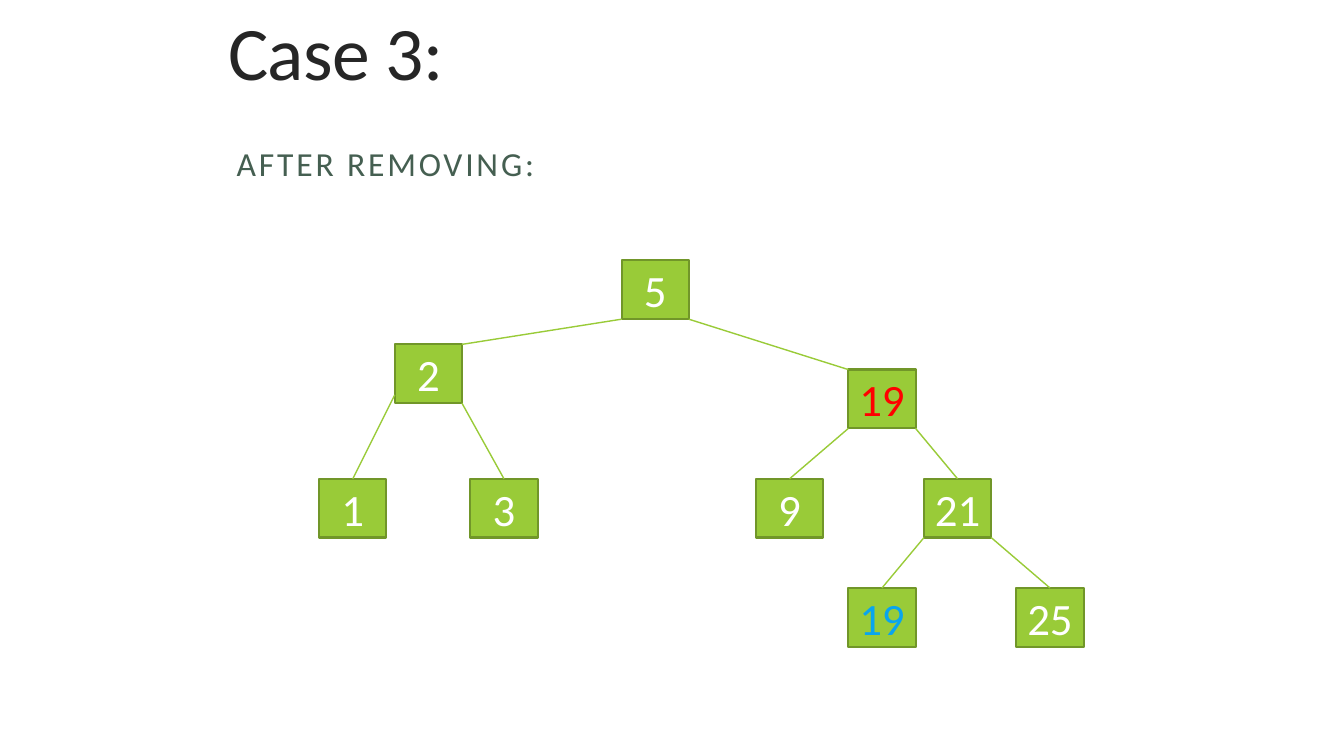
"""Draw a search tree after a node with two children is removed."""
from dataclasses import dataclass

from lxml import etree
from pptx import Presentation
from pptx.dml.color import RGBColor
from pptx.enum.shapes import MSO_CONNECTOR, MSO_SHAPE
from pptx.enum.text import MSO_ANCHOR, PP_ALIGN
from pptx.oxml.ns import qn
from pptx.slide import Slide
from pptx.text.text import _Paragraph
from pptx.util import Inches, Pt

RECT = MSO_SHAPE.RECTANGLE
LINE = MSO_CONNECTOR.STRAIGHT
TOP, MIDDLE, BOTTOM = MSO_ANCHOR.TOP, MSO_ANCHOR.MIDDLE, MSO_ANCHOR.BOTTOM
CENTER = PP_ALIGN.CENTER
COLS, ROWS = 160, 90
WIDE, HIGH = 8, 7


@dataclass(frozen=True)
class Theme:
    """Colours and type sizes."""
    font: str = "Calibri"
    title: str = "262626"
    label: str = "455F51"
    fill: str = "99CB38"
    edge: str = "719629"
    plain: str = "FFFFFF"
    moved: str = "FF0000"
    twin: str = "08A5EF"
    title_size: int = 54
    label_size: int = 24
    node_size: int = 32


@dataclass(frozen=True)
class Node:
    """A tree node at a grid cell."""
    text: str
    col: int
    row: int
    color: str


@dataclass(frozen=True)
class Link:
    """A branch; dock is a share of the child's width, lift is in rows."""
    upper: str
    lower: str
    dock: float = 0.5
    lift: int = 0


@dataclass(frozen=True)
class Head:
    """A heading in a box of grid cells."""
    text: str
    box: tuple[float, float, float, float]
    anchor: MSO_ANCHOR
    size: int
    color: str
    lead: float
    track: int
    before: int = 0
    after: int = 0


theme = Theme()
HEADS = (
    Head("Case 3:", (26, 3, 102, 9), BOTTOM, theme.title_size, theme.title, 0.85, -50),
    Head("AFTER REMOVING:", (27, 17, 107, 69), TOP, theme.label_size, theme.label,
         0.9, 200, 12, 2),
)
NODES = {
    "root": Node("5", 74, 31, theme.plain),
    "one": Node("1", 38, 57, theme.plain),
    "two": Node("2", 47, 41, theme.plain),
    "nine": Node("9", 90, 57, theme.plain),
    "three": Node("3", 56, 57, theme.plain),
    "moved": Node("19", 101, 44, theme.moved),
    "right": Node("21", 110, 57, theme.plain),
    "last": Node("25", 121, 70, theme.plain),
    "twin": Node("19", 101, 70, theme.twin),
}
LINKS = (
    Link("root", "two", dock=1), Link("two", "one", lift=1), Link("two", "three"),
    Link("root", "moved", dock=0), Link("moved", "nine"), Link("moved", "right"),
    Link("right", "twin"), Link("right", "last"),
)

deck = Presentation()
deck.slide_width, deck.slide_height = Inches(13.33), Inches(7.5)


def grid(*cells: float) -> list[int]:
    """Turn alternating columns and rows into lengths."""
    steps = deck.slide_width / COLS, deck.slide_height / ROWS
    return [round(cell * steps[i % 2]) for i, cell in enumerate(cells)]


def style(para: _Paragraph, size: int, color: str) -> None:
    """Set the font of a paragraph."""
    para.font.name = theme.font
    para.font.size = Pt(size)
    para.font.color.rgb = RGBColor.from_string(color)


def add_head(slide: Slide, head: Head) -> None:
    """Add a heading with its own tracking and leading."""
    frame = slide.shapes.add_textbox(*grid(*head.box)).text_frame
    frame.word_wrap = True
    frame.vertical_anchor = head.anchor
    para = frame.paragraphs[0]
    para.text = head.text
    para.line_spacing = head.lead
    para.space_before, para.space_after = Pt(head.before), Pt(head.after)
    style(para, head.size, head.color)
    para.runs[0]._r.get_or_add_rPr().set("spc", str(head.track))


def add_node(slide: Slide, node: Node) -> None:
    """Add a node as a square with its key."""
    shape = slide.shapes.add_shape(RECT, *grid(node.col, node.row, WIDE, HIGH))
    shape.shadow.inherit = False
    shape.fill.solid()
    shape.fill.fore_color.rgb = RGBColor.from_string(theme.fill)
    shape.line.color.rgb = RGBColor.from_string(theme.edge)
    shape.line.width = Pt(1.5)
    frame = shape.text_frame
    frame.word_wrap = True
    frame.vertical_anchor = MIDDLE
    para = frame.paragraphs[0]
    para.text = node.text
    para.alignment = CENTER
    style(para, theme.node_size, node.color)


def add_link(slide: Slide, link: Link) -> None:
    """Join the parent's near bottom corner to the top of its child."""
    upper, lower = NODES[link.upper], NODES[link.lower]
    side = WIDE if lower.col > upper.col else 0
    ends = grid(lower.col + link.dock * WIDE, lower.row,
                upper.col + side, upper.row + HIGH - link.lift)
    line = slide.shapes.add_connector(LINE, *ends)
    line.line.color.rgb = RGBColor.from_string(theme.fill)
    line.line.width = Pt(1)
    etree.SubElement(line._element.spPr, qn("a:effectLst"))


def main() -> None:
    """Build and save the slide."""
    slide = deck.slides.add_slide(deck.slide_layouts[6])
    for head in HEADS:
        add_head(slide, head)
    for node in NODES.values():
        add_node(slide, node)
    for link in LINKS:
        add_link(slide, link)
    deck.save("out.pptx")


main()
